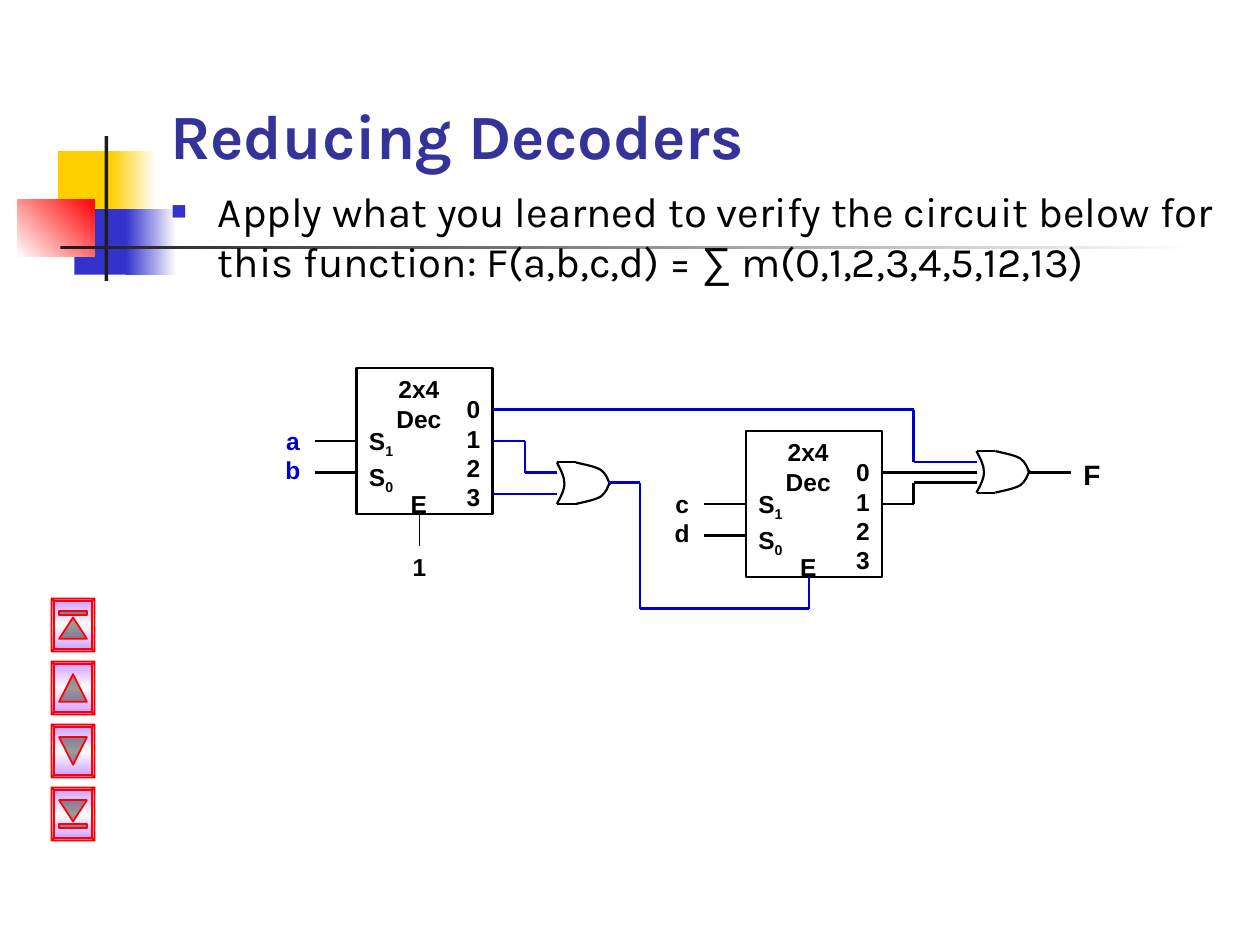
from dataclasses import dataclass
from itertools import pairwise
from typing import Optional

from lxml.etree import SubElement
from pptx import Presentation
from pptx.dml.color import RGBColor
from pptx.enum.shapes import MSO_CONNECTOR, MSO_SHAPE
from pptx.enum.text import MSO_ANCHOR, MSO_AUTO_SIZE, PP_ALIGN
from pptx.oxml import parse_xml
from pptx.oxml.ns import nsdecls, qn
from pptx.util import Inches, Pt

BLACK, BLUE, NAVY, YELLOW, DARK = "000000", "0000CC", "3333CC", "FFCF01", "1C1C1C"
WHITE, RED, LILAC = "FFFFFF", "FF0000", "CC99FF"
LEFT, CENTER, RIGHT = PP_ALIGN.LEFT, PP_ALIGN.CENTER, PP_ALIGN.RIGHT
Point = tuple[float, float]


@dataclass
class Band:
    """A block of the corner ornament; several colours make a gradient."""
    left: float
    top: float
    width: float
    height: float
    colors: list[str]
    angle: int = 0


@dataclass
class Label:
    """Lines of text; an underscore starts a subscript."""
    left: float
    top: float
    width: float
    height: float
    lines: list[str]
    align: PP_ALIGN = CENTER
    color: str = BLACK
    size: int = 14


@dataclass
class Wire:
    points: list[Point]
    color: str = BLACK
    weight: float = 1.25
    source: Optional[object] = None  # box whose right side the wire leaves
    target: Optional[object] = None  # box whose left side the wire enters


def rgb(color: str) -> RGBColor:
    return RGBColor.from_string(color)


def fill_shape(shape, colors: list[str], angle: int = 0) -> None:
    if len(colors) == 1:
        shape.fill.solid()
        shape.fill.fore_color.rgb = rgb(colors[0])
        return
    stops = "".join(
        f'<a:gs pos="{i * 100000 // (len(colors) - 1)}"><a:srgbClr val="{color}"/></a:gs>'
        for i, color in enumerate(colors))
    geometry = shape._element.spPr.find(qn("a:custGeom"))
    if geometry is None:
        geometry = shape._element.spPr.find(qn("a:prstGeom"))
    geometry.addnext(parse_xml(
        f'<a:gradFill {nsdecls("a")} rotWithShape="1"><a:gsLst>{stops}</a:gsLst>'
        f'<a:lin ang="{angle * 60000}" scaled="0"/></a:gradFill>'))


def outline(shape, color: str, weight: float) -> None:
    shape.line.color.rgb = rgb(color)
    shape.line.width = Pt(weight)


def format_font(font, color: str, **values) -> None:
    for key, value in values.items():
        setattr(font, key, value)
    font.color.rgb = rgb(color)


def add_band(shapes, band: Band) -> None:
    block = shapes.add_shape(MSO_SHAPE.RECTANGLE, Inches(band.left), Inches(band.top),
                             Inches(band.width), Inches(band.height))
    block.shadow.inherit = False
    block.line.fill.background()
    fill_shape(block, band.colors, band.angle)


def add_label(shapes, label: Label) -> None:
    box = shapes.add_textbox(Inches(label.left), Inches(label.top),
                             Inches(label.width), Inches(label.height))
    frame = box.text_frame
    frame.word_wrap = True
    for i, line in enumerate(label.lines):
        paragraph = frame.paragraphs[0] if i == 0 else frame.add_paragraph()
        paragraph.alignment = label.align
        base, _, subscript = line.partition("_")
        if i and subscript:
            paragraph.space_before = Pt(1.8)
        for text in filter(None, (base, subscript)):
            run = paragraph.add_run()
            run.text = text
            format_font(run.font, label.color, name="Arial", size=Pt(label.size), bold=True)
        if subscript:
            run._r.get_or_add_rPr().set("baseline", "-25000")


def add_wire(shapes, wire: Wire) -> None:
    segments = list(pairwise(wire.points))
    for i, (start, end) in enumerate(segments):
        line = shapes.add_connector(MSO_CONNECTOR.STRAIGHT, *map(Inches, start + end))
        outline(line, wire.color, wire.weight)
        SubElement(line._element.spPr, qn("a:effectLst"))
        if wire.source is not None and i == 0:
            line.begin_connect(wire.source, 3)
        if wire.target is not None and i == len(segments) - 1:
            line.end_connect(wire.target, 1)


def add_outline(shapes, contours: list[list[Point]], close: bool):
    """Freeform through the points of each contour."""
    paths = [[(Inches(x), Inches(y)) for x, y in contour] for contour in contours]
    builder = shapes.build_freeform(*paths[0][0], scale=1.0)
    for i, path in enumerate(paths):
        if i:
            builder.move_to(*path[0])
        builder.add_line_segments(path[1:], close=close)
    shape = builder.convert_to_shape()
    shape.shadow.inherit = False
    return shape


def add_curve(shapes, points: list[Point]) -> None:
    """Open Bezier curve: a start, then three points for each arc."""
    curve = add_outline(shapes, [points], close=False)
    curve.fill.background()
    outline(curve, BLACK, 1.25)
    path = next(curve._element.iter(qn("a:path")))
    steps = path.findall(qn("a:lnTo"))
    for first in range(0, len(steps), 3):
        arc = SubElement(path, qn("a:cubicBezTo"))
        for step in steps[first:first + 3]:
            arc.append(step[0])
            path.remove(step)


def add_or_gate(shapes, x: float, y: float) -> None:
    height = 0.33
    back = [(0, 0), (.03, .06), (.06, .11), (.06, .17), (.06, .23), (.01, .31), (0, height)]
    front = [(.15, 0), (.23, .02), (.3, .03), (.35, .06), (.39, .09), (.41, .14), (.42, .18)]
    mirrored = [(dx, height - dy) for dx, dy in front]
    for curve in (back, front, mirrored):
        add_curve(shapes, [(x + dx, y + dy) for dx, dy in curve])
    for edge in (y, y + height):
        add_wire(shapes, Wire([(x, edge), (x + .15, edge)]))


def add_decoder(shapes, x: float, y: float, inputs: list[str], color: str):
    box = shapes.add_shape(MSO_SHAPE.RECTANGLE, Inches(x), Inches(y), Inches(1.08), Inches(1.16))
    box.shadow.inherit = False
    box.fill.background()
    outline(box, BLACK, 1.5)
    for label in (
        Label(x + .08, y, .83, .57, ["2x4", "Dec"]),
        Label(x, y + .41, .46, .66, ["S_1", "S_0"], LEFT),
        Label(x + .66, y + .16, .42, 1.04, ["0", "1", "2", "3"], RIGHT),
        Label(x + .33, y + .91, .33, .34, ["E"]),
        Label(x - .67, y + .41, .33, .57, inputs, color=color),
    ):
        add_label(shapes, label)
    add_wire(shapes, Wire([(x - .33, y + .58), (x, y + .58)], target=box))
    add_wire(shapes, Wire([(x - .33, y + .83), (x, y + .83)]))
    return box


def add_button(shapes, top: float, icon: list[list[Point]]) -> None:
    """Bevelled button; icon points are measured from its centre."""
    left, right, bottom, bevel = .41, .75, top + .42, .02
    outer = [(left, top), (right, top), (right, bottom), (left, bottom)]
    inner = [(left + bevel, top + bevel), (right - bevel, top + bevel),
             (right - bevel, bottom - bevel), (left + bevel, bottom - bevel)]
    sides = [[outer[i - 1], outer[i], inner[i], inner[i - 1]] for i in range(4)]
    symbols = [[(.58 + dx, top + .21 + dy) for dx, dy in part] for part in icon]
    button = add_outline(shapes, [outer, *sides, *symbols], close=True)
    fill_shape(button, [LILAC, WHITE, LILAC], 90)
    outline(button, RED, 1)
    # Give every contour its own path, so that symbols are shaded over the face
    whole = next(button._element.iter(qn("a:path")))
    for i, start in enumerate(whole.findall(qn("a:moveTo"))):
        path = SubElement(whole.getparent(), qn("a:path"), w=whole.get("w"), h=whole.get("h"))
        path.set("fill", "darken" if i > len(sides) else "norm")
        steps = [start, *start.itersiblings()]
        for step in steps[:[s.tag for s in steps].index(qn("a:close")) + 1]:
            path.append(step)
    whole.getparent().remove(whole)


def fill_placeholder(placeholder, box: tuple, anchor, runs: list[tuple], color: str, **font):
    for key, value in zip(("left", "top", "width", "height"), box):
        setattr(placeholder, key, Inches(value))
    frame = placeholder.text_frame
    frame.auto_size, frame.vertical_anchor = MSO_AUTO_SIZE.NONE, anchor
    paragraph = frame.paragraphs[0]
    paragraph.alignment, paragraph.space_before = LEFT, Pt(0)
    for text, name in runs:
        run = paragraph.add_run()
        run.text = text
        format_font(run.font, color, name=name, **font)
    return paragraph


def main() -> None:
    prs = Presentation()
    prs.slide_width, prs.slide_height = Inches(10), Inches(7.5)
    slide = prs.slides.add_slide(prs.slide_layouts[1])
    shapes = slide.shapes
    title, body = slide.placeholders

    # Corner ornament
    for band in (
        Band(.46, 1.2, .48, .52, [YELLOW]), Band(.88, 1.2, .36, .52, [YELLOW, WHITE]),
        Band(.59, 1.66, .46, .52, [NAVY]), Band(1, 1.66, .4, .52, [NAVY, WHITE]),
        Band(.14, 1.58, .61, .46, [WHITE, RED], 315),
        Band(.83, 1.08, .03, 1.15, [DARK]), Band(.48, 1.95, 9, .03, [DARK, WHITE]),
    ):
        add_band(shapes, band)

    # Title and task, brought in front of the ornament
    fill_placeholder(title, (1.25, .17, 8.5, 1.25), MSO_ANCHOR.BOTTOM,
                     [("Reducing Decoders", "Karla")], "333399", size=Pt(36), bold=True)
    task = fill_placeholder(body, (1.25, 1.42, 8.5, .92), MSO_ANCHOR.TOP, [
        ("Apply what you learned to verify the circuit below for this function: F(a,b,c,d) = ",
         "Karla"), ("∑", "Arial"), (" m(0,1,2,3,4,5,12,13)", "Karla")], BLACK, size=Pt(24))
    properties = task._p.get_or_add_pPr()
    properties.set("marL", str(Inches(.38)))
    properties.set("indent", str(Inches(-.38)))
    SubElement(SubElement(properties, qn("a:buClr")), qn("a:srgbClr"), val=NAVY)
    for tag, key, value in (("a:buSzPct", "val", "120000"), ("a:buFont", "typeface", "Arial"),
                            ("a:buChar", "char", "▪")):
        SubElement(properties, qn(tag)).set(key, value)
    for placeholder in (title, body):
        shapes._spTree.append(placeholder._element)

    # Navigation buttons: first, previous, next, last
    up = [(0, -.11), (.11, .11), (-.11, .11)]
    short_up = [(0, -.06), (.11, .11), (-.11, .11)]
    bar = [(-.11, -.11), (.11, -.11), (.11, -.08), (-.11, -.08)]
    first, previous = [short_up, bar], [up]
    following, last = ([[(dx, -dy) for dx, dy in part] for part in icon]
                       for icon in (previous, first))
    for i, icon in enumerate((first, previous, following, last)):
        add_button(shapes, 4.75 + i * .5, icon)

    # Circuit
    decoder_ab = add_decoder(shapes, 2.83, 2.92, ["a", "b"], BLUE)
    decoder_cd = add_decoder(shapes, 5.92, 3.42, ["c", "d"], BLACK)
    add_or_gate(shapes, 4.42, 3.67)
    add_or_gate(shapes, 7.75, 3.58)
    for wire in (
        Wire([(3.91, 3.25), (7.25, 3.25), (7.25, 3.67), (7.75, 3.67)], BLUE),
        Wire([(3.91, 3.5), (4.17, 3.5), (4.17, 3.75), (4.42, 3.75)], BLUE, source=decoder_ab),
        Wire([(3.91, 3.92), (4.42, 3.92)], BLUE),
        Wire([(4.83, 3.83), (5.08, 3.83), (5.08, 4.83), (6.42, 4.83), (6.42, 4.58)], BLUE),
        Wire([(7, 3.75), (7.75, 3.75)]),
        Wire([(7, 4), (7.25, 4), (7.25, 3.83), (7.75, 3.83)], source=decoder_cd),
        Wire([(8.17, 3.75), (8.5, 3.75)]),
        Wire([(3.33, 4.08), (3.33, 4.33)], weight=.75),
    ):
        add_wire(shapes, wire)
    add_label(shapes, Label(3.08, 4.33, .5, .34, ["1"]))
    add_label(shapes, Label(8.5, 3.58, .33, .37, ["F"], LEFT, size=16))

    prs.save("out.pptx")


if __name__ == "__main__":
    main()
